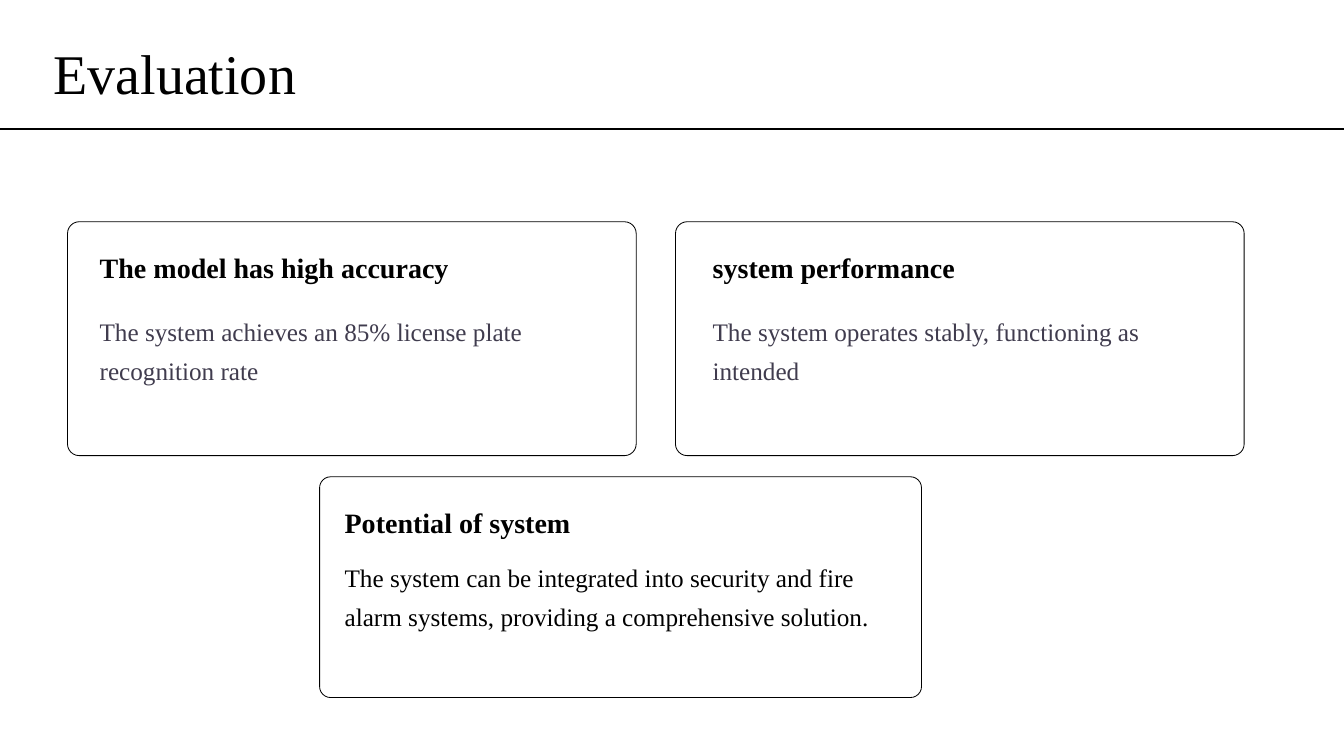
from dataclasses import dataclass
from typing import Any

import pptx
import pptx.dml.color
import pptx.enum.shapes
import pptx.enum.text
import pptx.oxml
import pptx.util
from pptx.util import Inches


@dataclass(frozen=True)
class Theme:
    font: str = "Times New Roman"
    black: str = "000000"
    slate: str = "403C4E"
    title_size: float = 40
    heading_size: float = 20
    body_size: float = 18
    heading_leading: float = 27.3
    body_leading: float = 28
    rule_width: float = 0.75
    card_width: float = 0.6
    corner: float = 0.05


@dataclass(frozen=True)
class Box:
    left: float
    top: float
    width: float
    height: float

    def lengths(self) -> tuple:
        return tuple(Inches(v) for v in (self.left, self.top, self.width, self.height))


@dataclass(frozen=True)
class Card:
    frame: Box
    heading_box: Box
    heading: str
    body_box: Box
    body: str
    body_color: str


THEME = Theme()
SLIDE_W, SLIDE_H = 13.33, 7.5
RULE_Y = 1.28

CARDS = [
    Card(Box(0.67, 2.2, 5.64, 2.32),
         Box(0.89, 2.39, 3.89, 0.4), "The model has high accuracy",
         Box(0.89, 3, 5.14, 1.23),
         "The system achieves an 85% license plate recognition rate", THEME.slate),
    Card(Box(6.7, 2.2, 5.64, 2.32),
         Box(6.97, 2.39, 3.38, 0.4), "system performance",
         Box(6.97, 3, 5.14, 1.23),
         "The system operates stably, functioning as intended", THEME.slate),
    Card(Box(3.17, 4.73, 5.97, 2.19),
         Box(3.32, 4.92, 2.56, 0.38), "Potential of system",
         Box(3.32, 5.44, 5.57, 1.17),
         "The system can be integrated into security and fire alarm systems, "
         "providing a comprehensive solution.", THEME.black),
]


def rgb(value: str) -> pptx.dml.color.RGBColor:
    return pptx.dml.color.RGBColor.from_string(value)


def write(tf: Any, text: str, size: float, color: str, bold: bool = False,
          **paragraph_format: Any) -> None:
    tf.word_wrap = True
    tf.vertical_anchor = pptx.enum.text.MSO_ANCHOR.TOP
    p = tf.paragraphs[0]
    for name, value in paragraph_format.items():
        setattr(p, name, value)
    r = p.add_run()
    r.text = text
    font_format = {"name": THEME.font, "size": pptx.util.Pt(size), "bold": bold}
    for name, value in font_format.items():
        setattr(r.font, name, value)
    r.font.color.rgb = rgb(color)


def stroke(line: Any, width: float) -> None:
    line.color.rgb = rgb(THEME.black)
    line.width = pptx.util.Pt(width)


def draw_title(s: Any, text: str, box: Box) -> None:
    sp = s.shapes.title
    sp.left, sp.top, sp.width, sp.height = box.lengths()
    write(sp.text_frame, text, THEME.title_size, THEME.black,
          alignment=pptx.enum.text.PP_ALIGN.CENTER)


def draw_rule(s: Any) -> None:
    rule = s.shapes.add_connector(pptx.enum.shapes.MSO_CONNECTOR.STRAIGHT,
                                  Inches(SLIDE_W), Inches(RULE_Y), Inches(0), Inches(RULE_Y))
    stroke(rule.line, THEME.rule_width)
    rule._element.spPr.append(pptx.oxml.parse_xml(
        '<a:effectLst xmlns:a="http://schemas.openxmlformats.org/drawingml/2006/main"/>'))


def draw_card(s: Any, card: Card) -> None:
    group = s.shapes.add_group_shape()
    sp = group.shapes.add_shape(pptx.enum.shapes.MSO_SHAPE.ROUNDED_RECTANGLE,
                                *card.frame.lengths())
    sp.adjustments[0] = THEME.corner
    sp.shadow.inherit = False
    sp.fill.background()
    stroke(sp.line, THEME.card_width)
    heading = group.shapes.add_textbox(*card.heading_box.lengths())
    write(heading.text_frame, card.heading, THEME.heading_size, THEME.black, bold=True,
          line_spacing=pptx.util.Pt(THEME.heading_leading))
    body = group.shapes.add_textbox(*card.body_box.lengths())
    write(body.text_frame, card.body, THEME.body_size, card.body_color,
          line_spacing=pptx.util.Pt(THEME.body_leading))


def main() -> None:
    prs = pptx.Presentation()
    prs.slide_width, prs.slide_height = Inches(SLIDE_W), Inches(SLIDE_H)
    s = prs.slides.add_slide(prs.slide_layouts.get_by_name("Title Only"))

    # Header
    draw_rule(s)
    draw_title(s, "Evaluation", Box(-0.23, 0.33, 3.93, 0.77))

    # Evaluation cards
    for card in CARDS:
        draw_card(s, card)

    prs.save("out.pptx")


if __name__ == "__main__":
    main()
